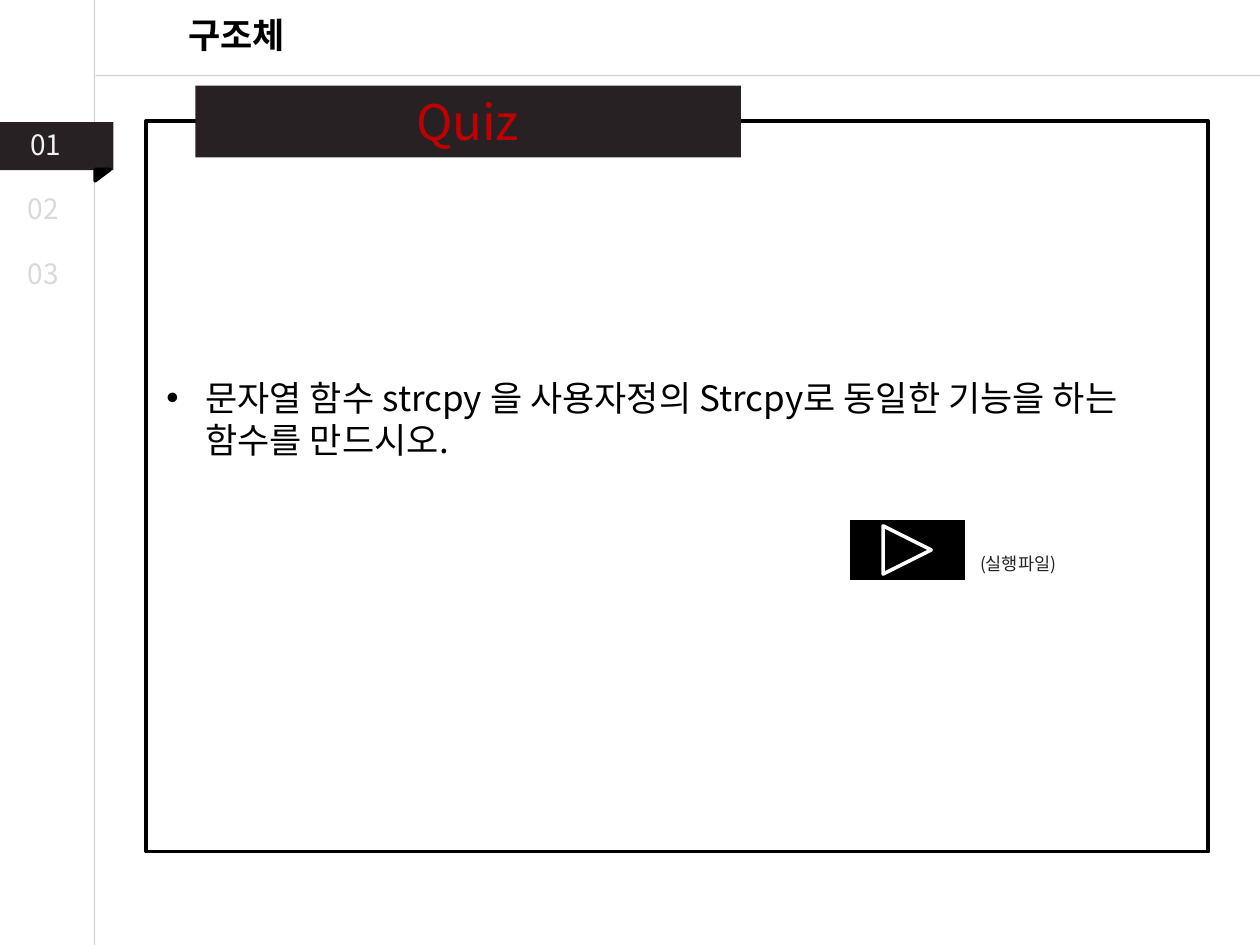
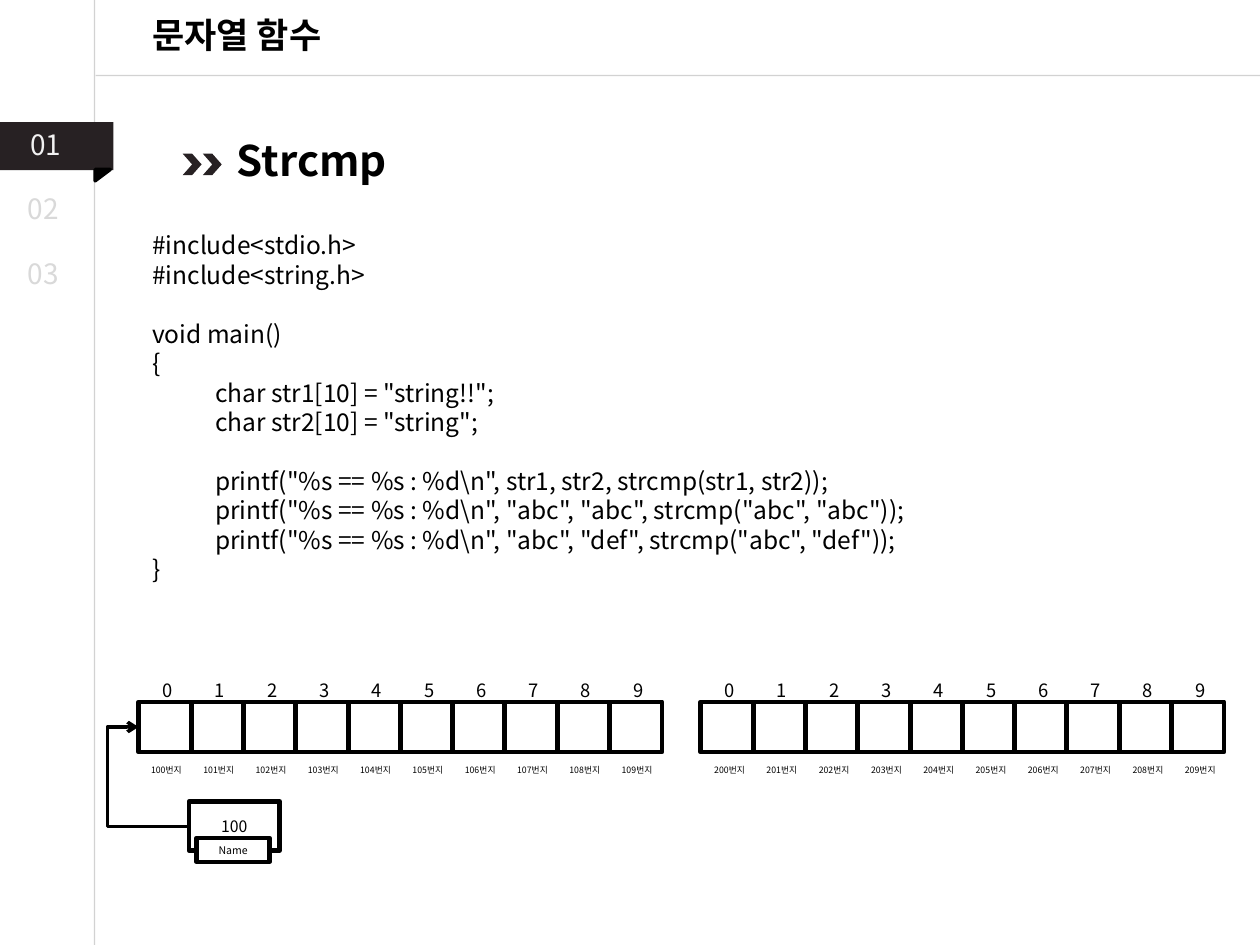
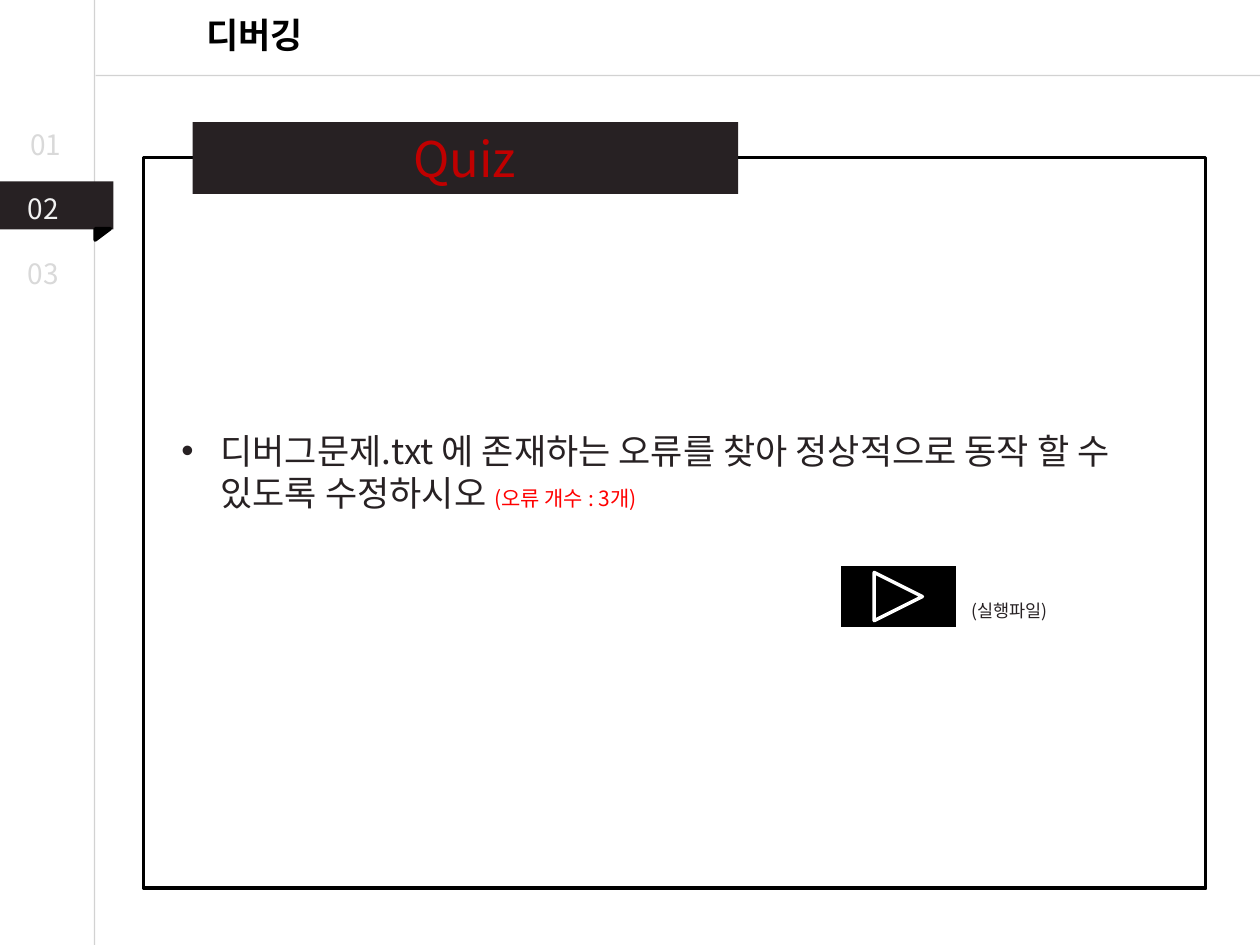
import pptx
import pptx.util
import pptx.dml.color
import pptx.enum.shapes
import pptx.enum.text
import pptx.oxml.ns
from lxml import etree

Inches = pptx.util.Inches
Pt = pptx.util.Pt
PRESET = pptx.enum.shapes.MSO_SHAPE
CONNECTOR = pptx.enum.shapes.MSO_CONNECTOR
ALIGN = pptx.enum.text.PP_ALIGN
ANCHOR = pptx.enum.text.MSO_ANCHOR
qn = pptx.oxml.ns.qn

FONT = "Noto Sans CJK KR"
LINE_HEIGHT = 1.2
BLACK, WHITE, DARK = "000000", "FFFFFF", "272123"
RULE, MUTED, ACTIVE = "A6A6A6", "D9D9D9", "F2F2F2"
QUIZ_RED, HINT_RED = "C00000", "FF0000"

CELL_COUNT, CELL_STEP = 10, 0.415
CODE_TOP_LINES = [
    "#include<stdio.h>",
    "#include<string.h>",
]
CODE_MAIN_LINES = [
    "void main()",
    "{",
    '\tchar str1[10] = "string!!";',
    '\tchar str2[10] = "string";',
]
CODE_PRINT_LINES = [
    '\tprintf("%s == %s : %d\\n", str1, str2, strcmp(str1, str2));',
    '\tprintf("%s == %s : %d\\n", "abc", "abc", strcmp("abc", "abc"));',
    '\tprintf("%s == %s : %d\\n", "abc", "def", strcmp("abc", "def"));',
    "}",
]


def rgb(value):
    """Turn a hex string into a colour."""
    return pptx.dml.color.RGBColor.from_string(value)


def box(left, top, width, height):
    """Convert a rectangle in inches to lengths."""
    return Inches(left), Inches(top), Inches(width), Inches(height)


def style_run(run, size, color, bold=False):
    """Apply the deck font to a run."""
    run.font.size = Pt(size)
    run.font.bold = bold
    run.font.color.rgb = rgb(color)
    run.font.name = FONT
    etree.SubElement(run._r.get_or_add_rPr(), qn("a:ea"), typeface=FONT)


def style_paragraph(paragraph, size, color, bold=False, align=ALIGN.LEFT):
    """Set alignment, line pitch and run format of a paragraph."""
    paragraph.alignment = align
    paragraph.line_spacing = Pt(size * LINE_HEIGHT)
    paragraph.space_before = Pt(0)
    for run in paragraph.runs:
        style_run(run, size, color, bold)


def add_text(shapes, area, text, size, color=BLACK, bold=False, align=ALIGN.LEFT, wrap=True):
    """Add a one-paragraph text box."""
    frame = shapes.add_textbox(*box(*area)).text_frame
    frame.word_wrap = wrap
    frame.text = text
    style_paragraph(frame.paragraphs[0], size, color, bold, align)


def add_block(shapes, preset, area, fill=None, line=None, weight=2):
    """Add a preset shape with optional fill and outline."""
    block = shapes.add_shape(preset, *box(*area))
    block.shadow.inherit = False
    if fill:
        block.fill.solid()
        block.fill.fore_color.rgb = rgb(fill)
    else:
        block.fill.background()
    if line:
        block.line.color.rgb = rgb(line)
        block.line.width = Pt(weight)
    else:
        block.line.fill.background()
    return block


def add_label_block(shapes, area, text, size, fill=None):
    """Add an outlined rectangle with centred text."""
    block = add_block(shapes, PRESET.RECTANGLE, area, fill, BLACK, 2.5)
    frame = block.text_frame
    frame.vertical_anchor = ANCHOR.MIDDLE
    frame.text = text
    style_paragraph(frame.paragraphs[0], size, BLACK, align=ALIGN.CENTER)


def add_line(shapes, kind, start, end, color, weight):
    """Add a connector without a shadow."""
    line = shapes.add_connector(kind, *(Inches(value) for value in start + end))
    line.line.color.rgb = rgb(color)
    line.line.width = Pt(weight)
    etree.SubElement(line._element.spPr, qn("a:effectLst"))
    return line


def add_rule(shapes, start, end):
    """Add a half-transparent grey rule."""
    rule = add_line(shapes, CONNECTOR.STRAIGHT, start, end, RULE, 0.75)
    tint = rule._element.spPr.find(".//" + qn("a:srgbClr"))
    etree.SubElement(tint, qn("a:alpha"), val="50000")


def add_pointer(shapes, start, end, bend):
    """Add an elbow arrow with its bend at a share of the width."""
    pointer = add_line(shapes, CONNECTOR.ELBOW, start, end, BLACK, 2)
    properties = pointer._element.spPr
    guides = properties.find(qn("a:prstGeom")).find(qn("a:avLst"))
    etree.SubElement(guides, qn("a:gd"), name="adj1", fmla=f"val {round(bend * 100000)}")
    etree.SubElement(properties.find(qn("a:ln")), qn("a:tailEnd"), type="arrow")


def place(placeholder, area):
    """Move a placeholder and anchor its text at the top."""
    placeholder.left, placeholder.top, placeholder.width, placeholder.height = box(*area)
    frame = placeholder.text_frame
    frame.word_wrap = True
    frame.auto_size = pptx.enum.text.MSO_AUTO_SIZE.NONE
    frame.vertical_anchor = ANCHOR.TOP
    return frame


def add_tabs(shapes, active):
    """Add the chapter numbers and the ribbon behind the active one."""
    ribbon_top = 0.97 + 0.47 * (active - 1)
    add_block(shapes, PRESET.RECTANGLE, (0, ribbon_top, 0.9, 0.38), DARK)
    fold = add_block(shapes, PRESET.RIGHT_TRIANGLE, (0.77, ribbon_top + 0.36, 0.09, 0.12), BLACK, BLACK)
    fold.rotation = 90
    tabs = [(0.14, 0.96, 0.59, 0.37), (0.12, 1.47, 0.49, 0.37), (0.12, 1.99, 0.49, 0.37)]
    for number, area in enumerate(tabs, 1):
        add_text(shapes, area, f"{number:02}", 16, ACTIVE if number == active else MUTED)


def add_chapter_slide(deck, layout, title, active, title_width=2.14):
    """Add a slide with the shared rules, title and chapter tabs."""
    slide = deck.slides.add_slide(deck.slide_layouts[layout])
    add_rule(slide.shapes, (0.75, 0), (0.75, 7.5))
    add_rule(slide.shapes, (10, 0.6), (0.76, 0.6))
    heading = place(slide.shapes.title, (0.81, 0.06, title_width, 0.44))
    heading.text = title
    style_paragraph(heading.paragraphs[0], 20, BLACK, True, ALIGN.CENTER)
    add_tabs(slide.shapes, active)
    return slide


def add_quiz_frame(shapes, left, top):
    """Add the quiz border with its banner."""
    add_block(shapes, PRESET.RECTANGLE, (left, top + 0.28, 8.43, 5.8), line=BLACK)
    add_block(shapes, PRESET.RECTANGLE, (left + 0.39, top, 4.33, 0.57), DARK)
    add_text(shapes, (left, top, 5.1, 0.57), "Quiz", 28, QUIZ_RED, align=ALIGN.CENTER)


def add_question(slide, area, question, color, hint=None):
    """Fill the body placeholder with a bulleted question."""
    paragraph = place(slide.placeholders[1], area).paragraphs[0]
    paragraph.text = question
    style_paragraph(paragraph, 20, color)
    indent = Inches(0.31)
    properties = paragraph._p.get_or_add_pPr()
    properties.set("marL", str(indent))
    properties.set("indent", str(-indent))
    if hint:
        note = paragraph.add_run()
        note.text = hint
        style_run(note, 12, HINT_RED)


def add_run_button(slide, left, top):
    """Add the play button and its caption as a group."""
    button = slide.shapes.add_group_shape().shapes
    add_block(button, PRESET.ACTION_BUTTON_FORWARD_OR_NEXT, (left, top, 0.94, 0.51), BLACK, WHITE)
    add_text(button, (left + 0.95, top + 0.23, 0.84, 0.27), "(실행파일)", 10, DARK)


def add_code(shapes, area, sections):
    """Add code lines with a one-line gap between sections."""
    frame = shapes.add_textbox(*box(*area)).text_frame
    frame.word_wrap = True
    frame.text = "\n".join(line for section in sections for line in section)
    paragraphs = iter(frame.paragraphs)
    for index, section in enumerate(sections):
        for row in range(len(section)):
            paragraph = next(paragraphs)
            style_paragraph(paragraph, 14, BLACK)
            if index and not row:
                paragraph.space_before = Pt(14 * LINE_HEIGHT)


def add_memory(slide, left, first_address, address_offset, address_width):
    """Add a row of memory cells with indexes and addresses."""
    memory = slide.shapes.add_group_shape().shapes
    for index in range(CELL_COUNT):
        cell_left = left + CELL_STEP * index
        add_block(memory, PRESET.RECTANGLE, (cell_left, 5.57, 0.42, 0.4), line=BLACK, weight=2.5)
        add_text(memory, (cell_left + 0.13, 5.34, 0.16, 0.21), str(index), 10.5,
                 align=ALIGN.CENTER, wrap=False)
        add_text(memory, (cell_left + address_offset, 6.02, address_width, 0.2),
                 f"{first_address + index}번지", 5)
    return memory


def build_strcpy_quiz(deck):
    """Build the quiz about copying strings."""
    slide = add_chapter_slide(deck, 1, "구조체", 1)
    add_quiz_frame(slide.shapes, 1.16, 0.68)
    add_question(slide, (1.22, 2.94, 8.36, 0.77),
                 "문자열 함수 strcpy 을 사용자정의 Strcpy로 동일한 기능을 하는 함수를 만드시오.", BLACK)
    add_run_button(slide, 6.73, 4.11)


def build_strcmp(deck):
    """Build the strcmp example with its memory rows."""
    slide = add_chapter_slide(deck, 5, "문자열 함수", 1)
    add_code(slide.shapes, (1.11, 1.78, 8.43, 2.93),
             [CODE_TOP_LINES, CODE_MAIN_LINES, CODE_PRINT_LINES])
    add_text(slide.shapes, (1.22, 1.02, 2.51, 0.5), "Strcmp", 24, bold=True, align=ALIGN.CENTER)
    for chevron_left in (1.61, 1.45):
        add_block(slide.shapes, PRESET.CHEVRON, (chevron_left, 1.22, 0.15, 0.17), DARK)
    name_memory = add_memory(slide, 1.1, 100, 0, 0.45)
    add_label_block(name_memory, (1.5, 6.36, 0.72, 0.39), "100", 9)
    add_label_block(name_memory, (1.56, 6.65, 0.58, 0.19), "Name", 6, WHITE)
    add_pointer(name_memory, (1.5, 6.56), (1.1, 5.77), 1.62)
    add_memory(slide, 5.56, 200, 0.01, 0.47)


def build_debug_quiz(deck):
    """Build the quiz about debugging."""
    slide = add_chapter_slide(deck, 1, "디버깅", 2, 2.42)
    add_quiz_frame(slide.shapes, 1.14, 0.97)
    add_question(slide, (1.34, 3.36, 7.99, 0.77),
                 "디버그문제.txt 에 존재하는 오류를 찾아 정상적으로 동작 할 수 있도록 수정하시오 ",
                 DARK, "(오류 개수 : 3개)")
    add_run_button(slide, 6.66, 4.48)


def main():
    """Build and save the deck."""
    deck = pptx.Presentation()
    deck.slide_width, deck.slide_height = Inches(10), Inches(7.5)
    build_strcpy_quiz(deck)
    build_strcmp(deck)
    build_debug_quiz(deck)
    deck.save("out.pptx")


if __name__ == "__main__":
    main()
